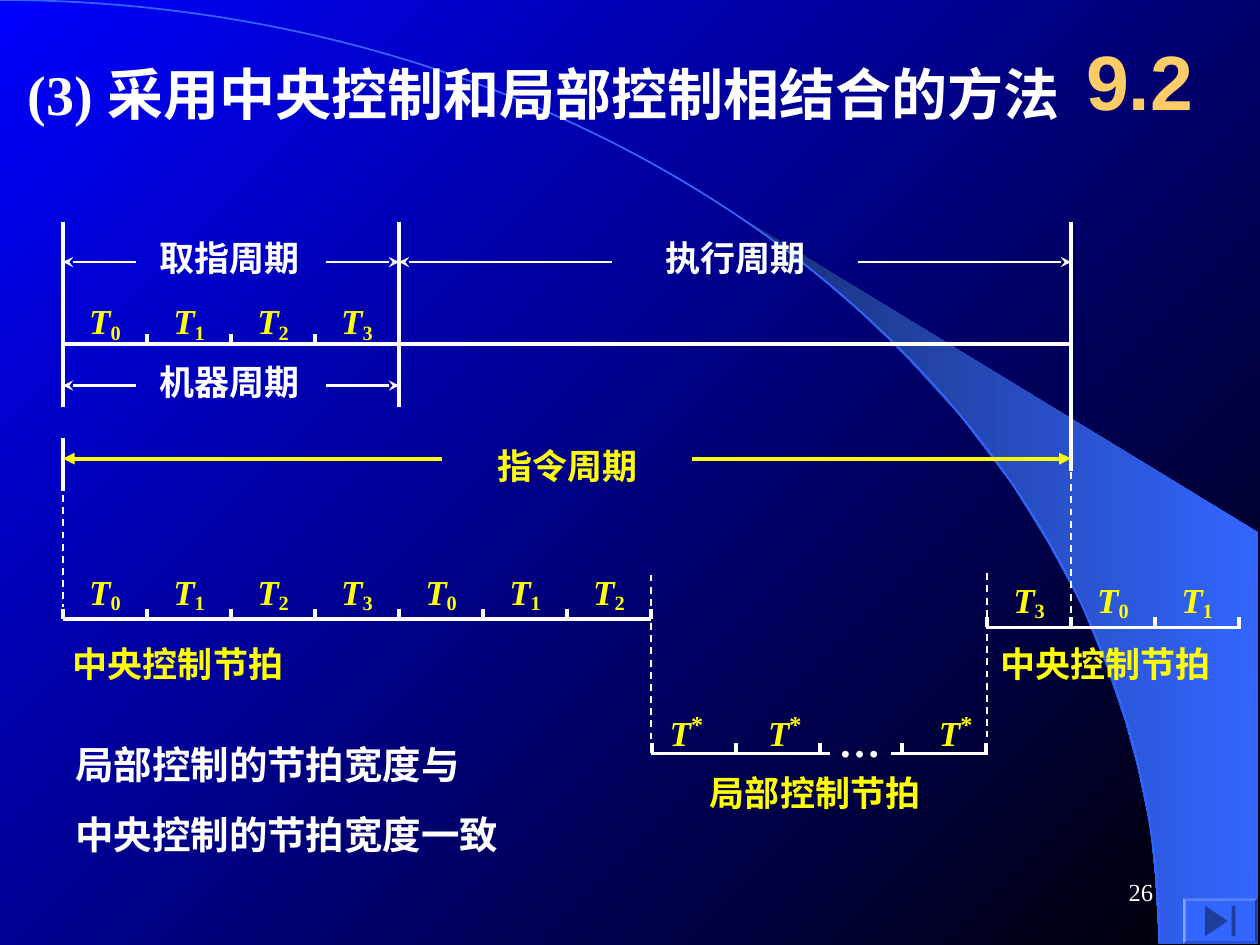
import math

import pptx
import pptx.dml.color
import pptx.enum.dml
import pptx.enum.shapes
import pptx.enum.text
import pptx.util
from lxml import etree
from pptx.oxml.ns import qn
from pptx.util import Inches

WHITE, YELLOW, BLUE, GOLD = "FFFFFF", "FFFF00", "3366FF", "FFCC66"
SERIF, SANS = "Times New Roman", "Arial"
BEAT = 2 / 3  # width of one clock beat
ALIGN = pptx.enum.text.PP_ALIGN
ANCHOR = pptx.enum.text.MSO_ANCHOR
SHAPE = pptx.enum.shapes.MSO_SHAPE


def colour(value):
    return pptx.dml.color.RGBColor.from_string(value)


def add_span(para, text, size=20, ink=YELLOW, font=SERIF, bold=True,
             italic=False, baseline=0):
    span = para.add_run()
    span.text = text
    span.font.size = pptx.util.Pt(size)
    span.font.name = font
    span.font.bold = bold
    span.font.italic = italic
    span.font.color.rgb = colour(ink)
    if baseline:
        span._r.get_or_add_rPr().set("baseline", str(baseline * 1000))


def add_text(page, left, top, width, height, text, wrap=False,
             align=ALIGN.LEFT, anchor=ANCHOR.TOP, gap=0, **form):
    box = page.shapes.add_textbox(Inches(left), Inches(top), Inches(width), Inches(height))
    frame = box.text_frame
    frame.word_wrap = wrap
    frame.vertical_anchor = anchor
    for index, line in enumerate(text.split("\n")):
        para = frame.add_paragraph() if index else frame.paragraphs[0]
        para.alignment = align
        if index and gap:
            para.space_before = pptx.util.Pt(gap)
        if line:
            add_span(para, line, **form)
    return box


def add_line(page, x1, y1, x2, y2, ink=WHITE, weight=2.25, dash=False, head=None):
    line = page.shapes.add_connector(
        pptx.enum.shapes.MSO_CONNECTOR.STRAIGHT,
        Inches(x1), Inches(y1), Inches(x2), Inches(y2))
    line.line.color.rgb = colour(ink)
    line.line.width = pptx.util.Pt(weight)
    if dash:
        line.line.dash_style = pptx.enum.dml.MSO_LINE.DASH
    if head:
        etree.SubElement(line.line._get_or_add_ln(), qn("a:tailEnd"), type=head)
    etree.SubElement(line._element.spPr, qn("a:effectLst"))


def add_outline(page, points, close):
    points = [(Inches(x), Inches(y)) for x, y in points]
    builder = page.shapes.build_freeform(*points[0])
    builder.add_line_segments(points[1:], close=close)
    shape = builder.convert_to_shape()
    shape.shadow.inherit = False
    return shape


def set_gradient(fill, start, end, angle):
    fill.gradient()
    fill.gradient_angle = angle
    for stop, value, position in zip(fill.gradient_stops, (start, end), (0, 1)):
        stop.color.rgb = colour(value)
        stop.position = position


def draw_backdrop(page, width, height):
    set_gradient(page.background.fill, "0000FF", "000000", 315)
    # Light beam
    beam = add_outline(page, [
        (width, height), (9.99, 7.49), (9.99, 4.23), (5.89, 1.73), (6.24, 1.99),
        (6.53, 2.22), (6.85, 2.5), (7.16, 2.8), (7.62, 3.3), (8.03, 3.84),
        (8.32, 4.31), (8.58, 4.79), (8.78, 5.28), (8.93, 5.72), (9.03, 6.09),
        (9.13, 6.56), (9.17, 6.96)], True)
    set_gradient(beam.fill, "182F76", BLUE, 0)
    beam.line.fill.background()
    # Quarter ellipse
    angles = [math.radians(degree) for degree in range(91)]
    arc = add_outline(page, [(width * math.sin(a), height * (1 - math.cos(a)))
                             for a in angles], False)
    arc.fill.background()
    arc.line.color.rgb = colour(BLUE)
    arc.line.width = pptx.util.Pt(1)


def place_heading(page, left, top, width, height):
    title = page.shapes.title
    title.left, title.top = Inches(left), Inches(top)
    title.width, title.height = Inches(width), Inches(height)
    frame = title.text_frame
    frame.word_wrap = False
    frame.auto_size = pptx.enum.text.MSO_AUTO_SIZE.NONE
    frame.vertical_anchor = ANCHOR.TOP
    para = frame.paragraphs[0]
    para.alignment = ALIGN.LEFT
    add_span(para, "(3) 采用中央控制和局部控制相结合的方法", size=32, ink=WHITE)
    page.shapes._spTree.append(title._element)  # above the backdrop
    add_text(page, left + 8.3, top - 0.25, 1.25, 0.92, "9.2", wrap=True, align=ALIGN.CENTER,
             anchor=ANCHOR.MIDDLE, size=44, ink=GOLD, font=SANS)


def draw_beats(page, left, top, length, ticks, labels, rise=0.43):
    """Time axis with ticks, and beat names as (left, mark) pairs."""
    add_line(page, left, top, left + length, top)
    for x in ticks:
        add_line(page, x, top - 0.08, x, top)
    for x, mark in labels:
        box = add_text(page, x, top - rise, 0.65, 0.45, "")
        para = box.text_frame.paragraphs[0]
        add_span(para, "T", italic=True)
        if mark == "*":
            add_span(para, mark, size=24, baseline=30)
        else:
            add_span(para, mark, baseline=-15)


def draw_even_beats(page, left, top, length, tick_range, marks, rise=0.43):
    draw_beats(page, left, top, length, [left + i * BEAT for i in tick_range],
               [(left + 0.11 + i * BEAT, mark) for i, mark in enumerate(marks)], rise)


def draw_span(page, left, right, y, reach, text, text_left, text_top,
              ink=WHITE, weight=1.5, head="stealth"):
    """Caption between two arrows that point outwards."""
    for tip, tail in ((left, left + reach), (right, right - reach)):
        add_line(page, tail, y, tip, y, ink=ink, weight=weight, head=head)
    add_text(page, text_left, text_top, 1.31, 0.44, text, ink=ink)


def draw_cycles(page, left, top, width):
    fetch_end, right, axis = left + 4 * BEAT, left + width, top + 0.97
    draw_even_beats(page, left, axis, width, range(1, 4), "0123", rise=0.4)
    # Cycle boundaries
    for x, start, end in ((left, 0, 1.47), (fetch_end, 0, 1.47),
                          (right, 0, 1.98), (left, 1.72, 2.14)):
        add_line(page, x, top + start, x, top + end)
    # Cycle names
    draw_span(page, left, fetch_end, top + 0.32, 0.58, "取指周期", left + 0.67, top + 0.07)
    draw_span(page, fetch_end, right, top + 0.32, 1.69, "执行周期", left + 4.68, top + 0.07)
    draw_span(page, left, fetch_end, top + 1.3, 0.58, "机器周期", left + 0.67, top + 1.05)
    draw_span(page, left, right, top + 1.88, 3.01, "指令周期", left + 3.35, top + 1.72,
              ink=YELLOW, weight=2.25, head="triangle")


def draw_control_beats(page, left, top):
    local, resume = left + 7 * BEAT, left + 11 * BEAT
    # Dashed guides
    for x, start, end in ((local, -0.35, 0.96), (resume, -0.36, 0.94),
                          (left + 12 * BEAT, -1.26, -0.02), (left, -1.27, -0.09)):
        add_line(page, x, top + start, x, top + end, weight=1, dash=True)
    # Central control before and after the local part
    draw_even_beats(page, left, top, 7 * BEAT, range(8), "0123012")
    draw_even_beats(page, resume, top + 0.07, 2.02, range(4), "301", rise=0.44)
    for x in (left - 0.02, resume + 0.01):
        add_text(page, x, top + 0.14, 1.87, 0.44, "中央控制节拍")
    # Local control
    base = top + 1.07
    draw_beats(page, local, base, 1.42, [local + 0.01 + i * BEAT for i in range(3)],
               [(local + 0.05, "*"), (local + 0.83, "*")], rise=0.44)
    draw_beats(page, resume - 0.76, base, 0.77, [resume - 0.01 - BEAT, resume - 0.01],
               [(resume - 0.48, "*")], rise=0.44)
    add_text(page, local + 1.39, base - 0.35, 0.79, 0.5, "…", wrap=True, size=24, ink=WHITE)
    add_text(page, local + 0.37, base + 0.09, 1.87, 0.44, "局部控制节拍")


def place_footer(page, left, top):
    add_text(page, left, top, 2.08, 0.5, "26", wrap=True, align=ALIGN.RIGHT,
             anchor=ANCHOR.MIDDLE, size=14, ink=WHITE, bold=False)
    # Bevelled frame with the button face inside
    for kind, inset in ((SHAPE.BEVEL, 0), (SHAPE.ACTION_BUTTON_END, 0.02)):
        part = page.shapes.add_shape(
            kind, Inches(left + 2.22 + inset), Inches(top + 0.3 + inset),
            Inches(0.59 - 2 * inset), Inches(0.36 - 2 * inset))
        part.shadow.inherit = False
        part.fill.solid()
        part.fill.fore_color.rgb = colour(BLUE)
        part.line.fill.background()
        if kind == SHAPE.BEVEL:
            part.adjustments[0] = 0.06


def main():
    deck = pptx.Presentation()
    deck.slide_width, deck.slide_height = Inches(10), Inches(7.5)
    page = deck.slides.add_slide(deck.slide_layouts.get_by_name("Title Only"))
    draw_backdrop(page, 9.2, 7.49)
    place_heading(page, 0.12, 0.42, 8.7, 0.64)
    draw_cycles(page, 0.5, 1.76, 8)
    draw_control_beats(page, 0.5, 4.91)
    add_text(page, 0.5, 5.83, 4.92, 1.03, "局部控制的节拍宽度与\n中央控制的节拍宽度一致",
             wrap=True, gap=13.8, size=22, ink=WHITE)
    place_footer(page, 7.17, 6.83)
    deck.save("out.pptx")


if __name__ == "__main__":
    main()
